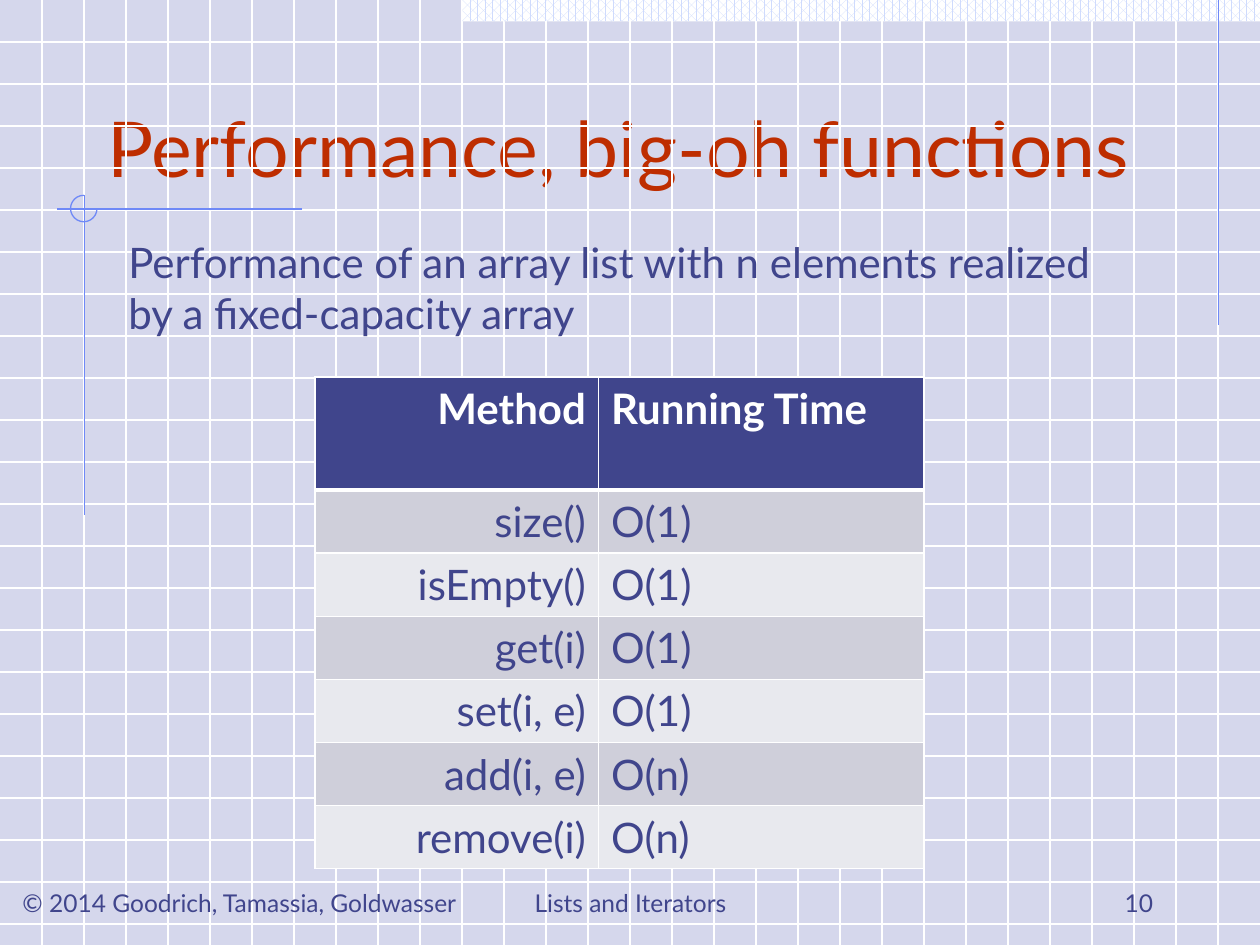
from lxml.etree import SubElement
from pptx import Presentation
from pptx.dml.color import RGBColor
from pptx.enum.dml import MSO_PATTERN_TYPE as Pattern
from pptx.enum.shapes import MSO_CONNECTOR as Connector, MSO_SHAPE as Shape
from pptx.enum.text import MSO_ANCHOR as Anchor, MSO_AUTO_SIZE as AutoSize, PP_ALIGN as Align
from pptx.oxml.ns import qn
from pptx.util import Inches, Pt

BACKGROUND = RGBColor(0xD5, 0xD7, 0xEC)
PALE_BLUE = RGBColor(0xCF, 0xDB, 0xFD)
BLUE = RGBColor(0x6F, 0x89, 0xF7)
NAVY = RGBColor(0x40, 0x45, 0x8C)
RED = RGBColor(0xBE, 0x2D, 0x00)
WHITE = RGBColor(0xFF, 0xFF, 0xFF)
BANDS = (RGBColor(0xCF, 0xCF, 0xDA), RGBColor(0xE8, 0xE9, 0xEE))
FONT = "Lato"

METHODS = [
    ("Method", "Running Time"),
    ("size()", "O(1)"),
    ("isEmpty()", "O(1)"),
    ("get(i)", "O(1)"),
    ("set(i, e)", "O(1)"),
    ("add(i, e)", "O(n)"),
    ("remove(i)", "O(n)"),
]
FOOTERS = [
    ("© 2014 Goodrich, Tamassia, Goldwasser", 0.08, 3.75, Align.LEFT),
    ("Lists and Iterators", 3.42, 3.17, Align.CENTER),
    ("10", 7.17, 2.08, Align.RIGHT),
]


def write_text(frame, text, size, color, align=Align.LEFT, bold=False):
    """Put one formatted paragraph in a text frame."""
    paragraph = frame.paragraphs[0]
    paragraph.alignment = align
    run = paragraph.add_run()
    run.text = text
    for name, value in {"name": FONT, "size": Pt(size), "bold": bold}.items():
        setattr(run.font, name, value)
    run.font.color.rgb = color


def set_frame(frame, anchor):
    """Make a text frame wrap at a fixed size with the given anchor."""
    settings = {"word_wrap": True, "auto_size": AutoSize.NONE, "vertical_anchor": anchor}
    for name, value in settings.items():
        setattr(frame, name, value)


def set_pattern(fill):
    """Fill with the pale blue and white dot pattern."""
    fill.patterned()
    fill.pattern = Pattern.PERCENT_60
    fill.fore_color.rgb = PALE_BLUE
    fill.back_color.rgb = WHITE


def add_line(slide, start, end, color=None):
    """Draw a thin line in a plain colour, or in the pattern if none is given."""
    points = [Inches(value) for value in (*start, *end)]
    line = slide.shapes.add_connector(Connector.STRAIGHT, *points)
    line.line.width = Pt(0.75)
    if color is None:
        set_pattern(line.line.fill)
    else:
        line.line.color.rgb = color
    SubElement(line._element.spPr, qn("a:effectLst"))


def add_grid(slide, width, height, lines_per_inch=3):
    """Rule the whole slide into squares."""
    for index in range(1, int(height * lines_per_inch) + 1):
        y = index / lines_per_inch
        add_line(slide, (0, y), (width, y))
    for index in range(1, int(width * lines_per_inch)):
        x = index / lines_per_inch
        add_line(slide, (x, 0), (x, height))


def add_ornaments(slide):
    """Add the top band, the accent lines and the open circle."""
    band = slide.shapes.add_shape(
        Shape.RECTANGLE, Inches(3.67), 0, Inches(6.33), Inches(0.17))
    band.shadow.inherit = False
    set_pattern(band.fill)
    band.line.fill.background()
    add_line(slide, (9.67, 0), (9.67, 2.58), BLUE)
    add_line(slide, (2.4, 1.66), (0.45, 1.66), BLUE)
    add_line(slide, (0.67, 1.55), (0.67, 4.09), BLUE)
    circle = slide.shapes.add_shape(
        Shape.ARC, Inches(0.56), Inches(1.55), Inches(0.21), Inches(0.21))
    circle.shadow.inherit = False
    circle.adjustments[0] = 0
    circle.adjustments[1] = 162
    circle.fill.background()
    circle.line.color.rgb = BLUE
    circle.line.width = Pt(0.75)


def add_title(slide, text, left, top, width, height):
    """Place the title placeholder in its box."""
    title = slide.shapes.title
    box = {"left": left, "top": top, "width": width, "height": height}
    for name, value in box.items():
        setattr(title, name, Inches(value))
    set_frame(title.text_frame, Anchor.BOTTOM)
    write_text(title.text_frame, text, 44, RED)


def add_text(slide, text, box, size, anchor, align=Align.LEFT):
    """Add a navy text box."""
    frame = slide.shapes.add_textbox(*map(Inches, box)).text_frame
    set_frame(frame, anchor)
    write_text(frame, text, size, NAVY, align)


def set_borders(cell, widths):
    """Give a cell white borders with a width in points for each side."""
    properties = cell._tc.get_or_add_tcPr()
    for side, width in widths.items():
        border = SubElement(properties, qn(f"a:ln{side}"), w=str(Pt(width)))
        fill = SubElement(border, qn("a:solidFill"))
        SubElement(fill, qn("a:srgbClr"), val=str(WHITE))


def add_method_table(slide, left, top, widths, header_height, row_height):
    """Add the table of methods and running times."""
    heights = [header_height] + [row_height] * (len(METHODS) - 1)
    box = (left, top, sum(widths), sum(heights))
    table = slide.shapes.add_table(len(METHODS), len(widths), *map(Inches, box)).table
    for column, width in zip(table.columns, widths):
        column.width = Inches(width)
    for index, (row, height, texts) in enumerate(zip(table.rows, heights, METHODS)):
        row.height = Inches(height)
        header = index == 0
        borders = {"L": 1, "R": 1, "T": 3 if index == 1 else 1, "B": 3 if header else 1}
        for cell, text, align in zip(row.cells, texts, (Align.RIGHT, Align.LEFT)):
            set_borders(cell, borders)
            cell.fill.solid()
            cell.fill.fore_color.rgb = NAVY if header else BANDS[(index - 1) % 2]
            write_text(cell.text_frame, text, 24, WHITE if header else NAVY, align, header)


def add_footer(slide, top, height):
    """Add the three footer texts along the bottom."""
    for text, left, width, align in FOOTERS:
        add_text(slide, text, (left, top, width, height), 14, Anchor.BOTTOM, align)


def main():
    """Build and save the slide."""
    presentation = Presentation()
    presentation.slide_width = Inches(10)
    presentation.slide_height = Inches(7.5)
    slide = presentation.slides.add_slide(presentation.slide_layouts[5])
    slide.background.fill.solid()
    slide.background.fill.fore_color.rgb = BACKGROUND
    add_grid(slide, 10, 7.5)
    add_ornaments(slide)
    add_title(slide, "Performance, big-oh functions", 0.75, 0.33, 8.67, 1.25)
    add_method_table(slide, 2.5, 2.99, (2.25, 2.58), 0.9, 0.5)
    add_footer(slide, 6.83, 0.5)
    add_text(
        slide,
        "Performance of an array list with n elements realized by a fixed-capacity array",
        (0.92, 1.83, 8, 0.91), 24, Anchor.TOP)
    presentation.save("out.pptx")


if __name__ == "__main__":
    main()
